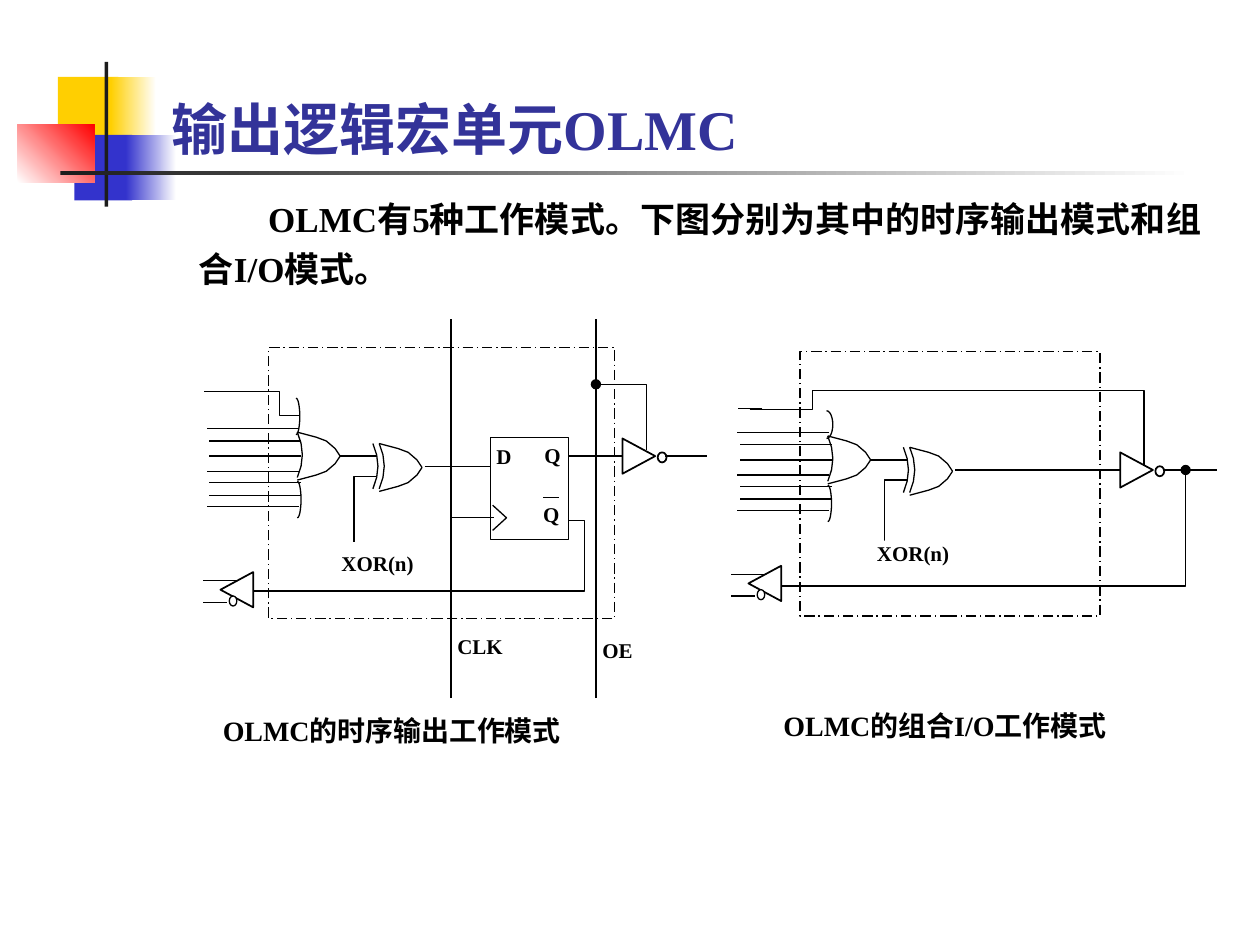
import math
from dataclasses import dataclass

from lxml import etree
from pptx import Presentation
from pptx import util as u
from pptx.dml.color import RGBColor
from pptx.enum import dml, shapes, text
from pptx.oxml.ns import qn


@dataclass(frozen=True)
class Theme:
    font: str = "Times New Roman"
    ink: str = "000000"
    paper: str = "FFFFFF"
    title: str = "333399"
    gold: str = "FFCF01"
    blue: str = "3333CC"
    red: str = "FF0000"
    bar: str = "1C1C1C"
    head: int = 32
    body: int = 20
    note: int = 16
    tag: int = 12
    thin: float = 0.75
    bold: float = 1


T = Theme()
KIND = shapes.MSO_SHAPE


def rgb(code):
    return RGBColor.from_string(code)


def ink(item, width=T.thin):
    item.line.color.rgb = rgb(T.ink)
    item.line.width = u.Pt(width)


# Basic elements
def block(sl, kind, box, fill=None, width=None, fade=None, angle=0, turn=0):
    item = sl.shapes.add_shape(kind, *map(u.Inches, box))
    item.shadow.inherit = False
    item.rotation = turn
    if fade:
        item.fill.gradient()
        item.fill.gradient_angle = angle
        for stop, code in zip(item.fill.gradient_stops, fade):
            stop.color.rgb = rgb(code)
    elif fill:
        item.fill.solid()
        item.fill.fore_color.rgb = rgb(fill)
    else:
        item.fill.background()
    if width:
        ink(item, width)
    else:
        item.line.fill.background()
    return item


def wire(sl, x1, y1, x2, y2):
    line = sl.shapes.add_connector(
        shapes.MSO_CONNECTOR.STRAIGHT, *map(u.Inches, (x1, y1, x2, y2)))
    ink(line)
    etree.SubElement(line._element.spPr, qn("a:effectLst"))


def trace(sl, pts, dot=None):
    """Open line through points; dot is headEnd or tailEnd."""
    pts = [(u.Inches(x), u.Inches(y)) for x, y in pts]
    pen = sl.shapes.build_freeform(*pts[0])
    pen.add_line_segments(pts[1:], close=False)
    item = pen.convert_to_shape()
    item.shadow.inherit = False
    item.fill.background()
    ink(item)
    if dot:
        ln = item._element.spPr.find(qn("a:ln"))
        etree.SubElement(ln, qn("a:" + dot), type="oval")


def label(sl, box, words, size=T.tag, color=T.ink, fill=T.paper, inset=True):
    item = sl.shapes.add_textbox(*map(u.Inches, box))
    if fill:
        item.fill.solid()
        item.fill.fore_color.rgb = rgb(fill)
    frame = item.text_frame
    frame.word_wrap = True
    if not inset:
        frame.margin_left = frame.margin_right = 0
        frame.margin_top = frame.margin_bottom = 0
    frame.text = words
    para = frame.paragraphs[0]
    para.alignment = text.PP_ALIGN.JUSTIFY
    for run in para.runs:
        run.font.name = T.font
        run.font.size = u.Pt(size)
        run.font.bold = True
        run.font.color.rgb = rgb(color)
    return frame


def tag(sl, x, y, w, words, h=0.3, fill=T.paper):
    label(sl, (x, y, w, h), words, fill=fill, inset=False)


# Logic symbols
def back(sl, x, y):
    curve = [(0, 0), (.03, .09), (.04, .18), (.03, .27), (0, .36)]
    trace(sl, [(x + a, y + b) for a, b in curve])


def gate(sl, x, y):
    curve = [(0, 0), (.15, .04), (.23, .07), (.3, .13), (.34, .19)]
    trace(sl, [(x + a, y + b) for a, b in curve])
    trace(sl, [(x + a, y + .38 - b) for a, b in curve])
    back(sl, x, y)


def arc(sl, x, y, w, h):
    turns = [math.pi * i / 12 for i in range(13)]
    trace(sl, [(x + w * math.sin(t), y + h * (1 - math.cos(t)) / 2)
               for t in turns])


def array(sl, dx, dy):
    """OR gate with its product inputs, feeding an XOR gate."""
    gate(sl, 2.36 + dx, 3.43 + dy)
    gate(sl, 3.01 + dx, 3.52 + dy)
    back(sl, 2.96 + dx, 3.52 + dy)
    wire(sl, 2.99 + dx, 3.62 + dy, 2.7 + dx, 3.62 + dy)
    trace(sl, [(a + dx, b + dy)
               for a, b in [(2.99, 3.78), (2.81, 3.78), (2.81, 4.3)]])
    rows = [(1.64, 3.4), (1.66, 3.5), (1.66, 3.62), (1.64, 3.74),
            (1.66, 3.83), (1.66, 3.93), (1.64, 4.02)]
    for x, y in rows:
        wire(sl, x + .73 + dx, y + dy, x + dx, y + dy)
    arc(sl, 2.36 + dx, 3.82 + dy, .03, .29)


def driver(sl, x, y, end):
    """Inverting output buffer; x, y is where its input meets it."""
    wire(sl, x, y, x - .47, y)
    block(sl, KIND.OVAL, (x + .24, y - .03, .07, .08), T.paper, T.bold)
    block(sl, KIND.ISOSCELES_TRIANGLE, (x - .05, y - .13, .28, .26),
          T.paper, T.bold, turn=90)
    wire(sl, x + .3, y, end, y)


def feed(sl, x, y):
    """Feedback buffer with a plain and an inverted output."""
    block(sl, KIND.ISOSCELES_TRIANGLE, (x, y, .28, .26),
          T.paper, T.bold, turn=270)
    block(sl, KIND.OVAL, (x + .08, y + .18, .06, .08), T.paper, T.thin)
    wire(sl, x + .13, y + .06, x - .13, y + .06)
    wire(sl, x + .06, y + .23, x - .13, y + .23)


def border(sl, *box):
    item = block(sl, KIND.RECTANGLE, box, width=T.thin)
    item.line.dash_style = dml.MSO_LINE.LONG_DASH_DOT


# Slide parts
def decor(sl):
    rect = KIND.RECTANGLE
    block(sl, rect, (.46, .61, .48, .52), T.gold)
    block(sl, rect, (.88, .61, .36, .52), fade=(T.gold, T.paper))
    block(sl, rect, (.59, 1.07, .46, .52), T.blue)
    block(sl, rect, (1, 1.07, .4, .52), fade=(T.blue, T.paper))
    block(sl, rect, (.14, .99, .61, .46), fade=(T.paper, T.red), angle=45)
    block(sl, rect, (.83, .49, .03, 1.15), T.bar)
    block(sl, rect, (.48, 1.36, 9, .03), fade=(T.bar, T.paper))


def prose(sl):
    frame = label(sl, (1.26, .08, 8.52, 1.25), "输出逻辑宏单元OLMC",
                  T.head, T.title, None)
    frame.vertical_anchor = text.MSO_ANCHOR.BOTTOM
    frame.paragraphs[0].alignment = text.PP_ALIGN.LEFT
    frame = label(
        sl, (1.48, 1.45, 8.18, .9),
        "OLMC有5种工作模式。下图分别为其中的时序输出模式和组合I/O模式。",
        T.body, fill=None)
    para = frame.paragraphs[0]
    para.alignment = text.PP_ALIGN.LEFT
    para.line_spacing = 1.2
    para._p.get_or_add_pPr().set("indent", str(u.Inches(.55)))
    label(sl, (1.67, 5.61, 3.35, .55), "OLMC的时序输出工作模式", T.note)
    label(sl, (6.12, 5.57, 3.3, .55), "OLMC的组合I/O工作模式", T.note)


def clocked(sl):
    for x in (3.58, 4.73):
        wire(sl, x, 5.54, x, 2.53)
    tag(sl, 3.63, 5.03, .59, "CLK")
    tag(sl, 4.78, 5.06, .32, "OE", .32)
    array(sl, 0, 0)
    arc(sl, 2.35, 3.16, .03, .29)
    trace(sl, [(1.62, 3.11), (2.22, 3.11), (2.22, 3.3), (2.37, 3.3)])
    # Flip-flop
    block(sl, KIND.RECTANGLE, (3.89, 3.47, .62, .81), T.paper, T.thin)
    tag(sl, 3.94, 3.52, .23, "D")
    tag(sl, 4.32, 3.51, .18, "Q")
    trace(sl, [(3.91, 4.01), (4.02, 4.11), (3.91, 4.21)])
    tag(sl, 4.31, 3.98, .18, "Q", fill=None)
    wire(sl, 4.31, 3.95, 4.44, 3.95)
    wire(sl, 3.37, 3.7, 3.89, 3.7)
    wire(sl, 3.92, 4.11, 3.58, 4.11)
    # Output and feedback
    driver(sl, 4.98, 3.62, 5.61)
    trace(sl, [(4.73, 3.05), (5.13, 3.05), (5.13, 3.57)], "headEnd")
    tag(sl, 2.71, 4.37, .59, "XOR(n)")
    feed(sl, 1.74, 4.55)
    trace(sl, [(2.01, 4.69), (4.64, 4.69), (4.64, 4.13), (4.51, 4.13)])
    border(sl, 2.13, 2.76, 2.75, 2.15)


def combined(sl):
    array(sl, 4.21, .03)
    arc(sl, 6.56, 3.26, .05, .22)
    wire(sl, 7.58, 3.73, 8.59, 3.73)
    driver(sl, 8.93, 3.73, 9.66)
    tag(sl, 6.96, 4.29, .59, "XOR(n)")
    feed(sl, 5.93, 4.5)
    trace(sl, [(6.2, 4.65), (9.41, 4.65), (9.41, 3.73)], "tailEnd")
    border(sl, 6.35, 2.79, 2.38, 2.1)
    trace(sl, [(5.95, 3.25), (6.45, 3.25), (6.45, 3.1),
               (9.08, 3.1), (9.08, 3.7)])
    wire(sl, 6.05, 3.24, 5.86, 3.24)


def main():
    deck = Presentation()
    deck.slide_width, deck.slide_height = u.Inches(10), u.Inches(7.5)
    sl = deck.slides.add_slide(deck.slide_layouts[6])
    decor(sl)
    prose(sl)
    clocked(sl)
    combined(sl)
    deck.save("out.pptx")


if __name__ == "__main__":
    main()
